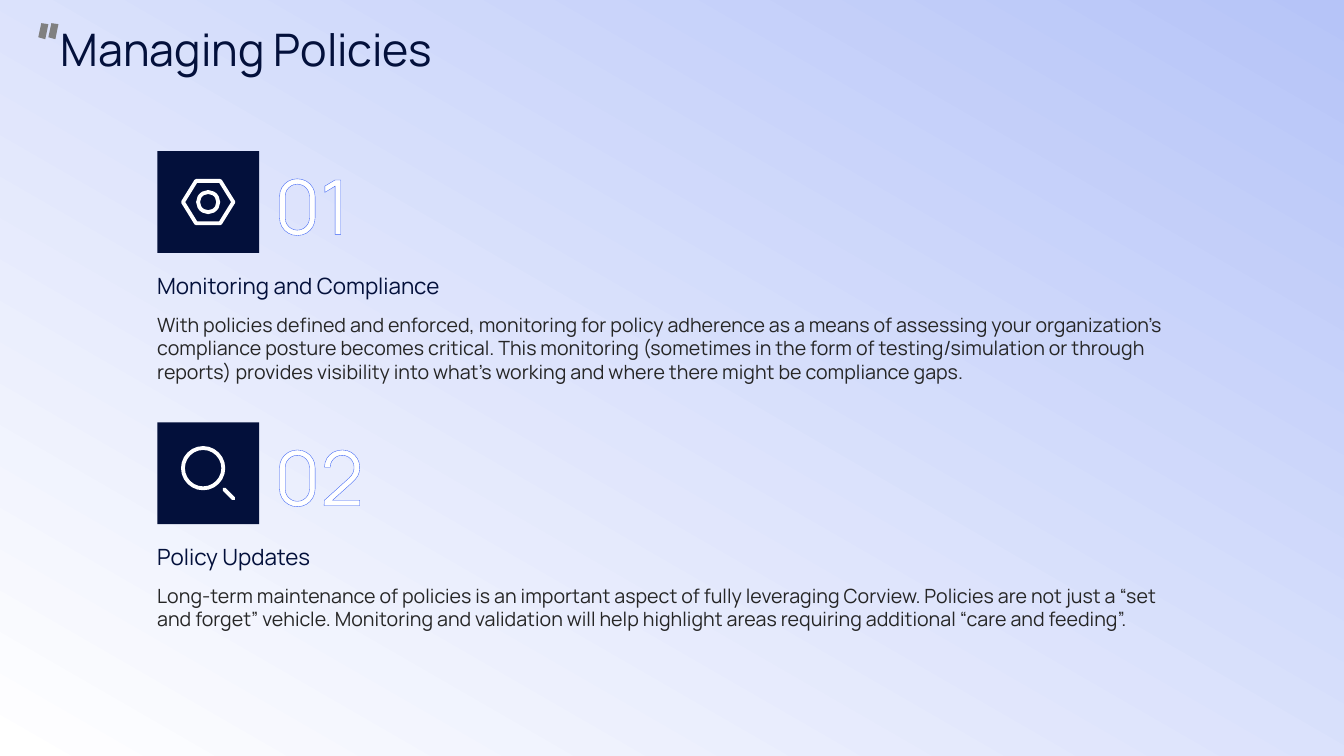
"""Build the Managing Policies slide."""
from dataclasses import dataclass
from typing import Callable

from lxml import etree
from pptx import Presentation
from pptx import util as u
from pptx.dml import color, fill
from pptx.enum import shapes, text
from pptx.oxml import ns
from pptx.shapes.autoshape import Shape
from pptx.slide import Slide

NAVY = color.RGBColor(0x03, 0x10, 0x3B)
BLUE = color.RGBColor(0x38, 0x60, 0xF4)
SKY = color.RGBColor(0xAA, 0xBD, 0xFB)
PERIWINKLE = color.RGBColor(0xB6, 0xC4, 0xF8)
WHITE = color.RGBColor(0xFF, 0xFF, 0xFF)
CHARCOAL = color.RGBColor(0x26, 0x26, 0x26)
GRAY = color.RGBColor(0x80, 0x80, 0x80)
FONT = "Manrope"
WIDTH, HEIGHT = 13.33, 7.5
LEFT = 1.56
TILE = 1.01
SECTION_TOP, SECTION_STEP = 1.5, 2.69
ICON_STROKE = u.Pt(2.75)

Points = list[tuple[float, float]]


@dataclass(frozen=True)
class Section:
    """Hold one numbered policy section."""
    heading: str
    body: str
    draw_icon: Callable[[Slide, float, float], None]


def fill_gradient(target: fill.FillFormat, start: color.RGBColor) -> None:
    """Fade from the start colour to white."""
    target.gradient()
    target.gradient_angle = 300
    for stop, stop_color in zip(target.gradient_stops, (start, WHITE)):
        stop.color.rgb = stop_color


def add_box(slide: Slide, left: float, top: float, width: float, height: float) -> Shape:
    """Add a rectangle without line or shadow."""
    shape = slide.shapes.add_shape(
        shapes.MSO_SHAPE.RECTANGLE, *map(u.Inches, (left, top, width, height)))
    shape.shadow.inherit = False
    shape.line.fill.background()
    return shape


def add_text(slide: Slide, content: str, left: float, top: float, width: float,
             height: float, size: float, font_color: color.RGBColor,
             anchor: text.MSO_ANCHOR = text.MSO_ANCHOR.MIDDLE) -> Shape:
    """Add a wrapped text box without margins."""
    shape = slide.shapes.add_textbox(*map(u.Inches, (left, top, width, height)))
    frame = shape.text_frame
    frame.word_wrap = True
    frame.vertical_anchor = anchor
    frame.margin_left = frame.margin_right = frame.margin_top = frame.margin_bottom = 0
    paragraph = frame.paragraphs[0]
    paragraph.text = content
    paragraph.font.name = FONT
    paragraph.font.size = u.Pt(size)
    paragraph.font.color.rgb = font_color
    return shape


def outline_text(shape: Shape, outline_color: color.RGBColor, width: float) -> None:
    """Draw an outline around the letters of a text box."""
    properties = shape.text_frame.paragraphs[0].runs[0]._r.get_or_add_rPr()
    line = etree.Element(ns.qn("a:ln"), w=str(u.Pt(width)))
    solid = etree.SubElement(line, ns.qn("a:solidFill"))
    etree.SubElement(solid, ns.qn("a:srgbClr"), val=str(outline_color))
    properties.insert(0, line)


def add_polygons(slide: Slide, polygons: list[Points]) -> Shape:
    """Add closed polygons, given in inches, as one freeform."""
    outlines = [[(u.Inches(x), u.Inches(y)) for x, y in points] for points in polygons]
    builder = slide.shapes.build_freeform(*outlines[0][0])
    for index, points in enumerate(outlines):
        if index:
            builder.move_to(*points[0])
        builder.add_line_segments(points[1:], close=True)
    shape = builder.convert_to_shape()
    shape.shadow.inherit = False
    return shape


def stroke_icon(shape: Shape) -> None:
    """Give an icon part a white stroke and no fill."""
    shape.fill.background()
    shape.line.color.rgb = WHITE
    shape.line.width = ICON_STROKE


def add_ring(slide: Slide, center_x: float, center_y: float, radius: float) -> None:
    """Add a white ring around a centre."""
    shape = slide.shapes.add_shape(
        shapes.MSO_SHAPE.OVAL, u.Inches(center_x - radius), u.Inches(center_y - radius),
        u.Inches(2 * radius), u.Inches(2 * radius))
    shape.shadow.inherit = False
    stroke_icon(shape)


def draw_nut(slide: Slide, x: float, y: float) -> None:
    """Draw a hexagonal nut centred on a tile."""
    corners = [(-0.25, 0), (-0.12, -0.21), (0.12, -0.21),
               (0.25, 0), (0.12, 0.21), (-0.12, 0.21)]
    stroke_icon(add_polygons(slide, [[(x + dx, y + dy) for dx, dy in corners]]))
    add_ring(slide, x, y, 0.1)


def draw_magnifier(slide: Slide, x: float, y: float) -> None:
    """Draw a magnifying glass centred on a tile."""
    add_ring(slide, x - 0.05, y - 0.05, 0.2)
    handle = slide.shapes.add_connector(
        shapes.MSO_CONNECTOR.STRAIGHT,
        *map(u.Inches, (x + 0.16, y + 0.16, x + 0.25, y + 0.25)))
    handle.line.color.rgb = WHITE
    handle.line.width = ICON_STROKE
    properties = handle._element.spPr
    properties.find(ns.qn("a:ln")).set("cap", "rnd")
    etree.SubElement(properties, ns.qn("a:effectLst"))


def draw_section(slide: Slide, number: int, section: Section) -> None:
    """Draw a section with its tile, number and texts."""
    top = SECTION_TOP + (number - 1) * SECTION_STEP
    tile = add_box(slide, LEFT, top, TILE, TILE)
    tile.fill.solid()
    tile.fill.fore_color.rgb = NAVY
    label = add_text(slide, f"{number:02}", 2.72, top - 0.02, 1.18, 1.09, 54, WHITE)
    outline_text(label, BLUE, 1.25)
    section.draw_icon(slide, LEFT + TILE / 2, top + TILE / 2)
    add_text(slide, section.heading, LEFT, top + 1.13, 10.2, 0.4, 16, NAVY)
    add_text(slide, section.body, LEFT, top + 1.6, 10.2, 1.01, 14, CHARCOAL,
             text.MSO_ANCHOR.TOP)


SECTIONS = [
    Section(
        "Monitoring and Compliance",
        "With policies defined and enforced, monitoring for policy adherence as a means of "
        "assessing your organization’s compliance posture becomes critical. This monitoring "
        "(sometimes in the form of testing/simulation or through reports) provides visibility "
        "into what’s working and where there might be compliance gaps.",
        draw_nut),
    Section(
        "Policy Updates",
        "Long-term maintenance of policies is an important aspect of fully leveraging Corview. "
        "Policies are not just a “set and forget” vehicle. Monitoring and validation will help "
        "highlight areas requiring additional “care and feeding”.",
        draw_magnifier),
]


def main() -> None:
    """Build and save the slide."""
    presentation = Presentation()
    presentation.slide_width = u.Inches(WIDTH)
    presentation.slide_height = u.Inches(HEIGHT)
    slide = presentation.slides.add_slide(presentation.slide_layouts[6])
    fill_gradient(slide.background.fill, SKY)
    backdrop = add_box(slide, 0, 0, WIDTH, HEIGHT)
    fill_gradient(backdrop.fill, PERIWINKLE)
    backdrop._element.spPr.xfrm.set("flipH", "1")
    for number, section in enumerate(SECTIONS, 1):
        draw_section(slide, number, section)
    add_text(slide, "Managing Policies", 0.6, 0.25, 10.98, 0.47, 32, NAVY)
    quote = add_polygons(slide, [
        [(x + 0.03, 0.23), (x + 0.1, 0.24), (x + 0.07, 0.39), (x, 0.37)]
        for x in (0.48, 0.38)])
    quote.fill.solid()
    quote.fill.fore_color.rgb = GRAY
    quote.line.fill.background()
    presentation.save("out.pptx")


if __name__ == "__main__":
    main()
